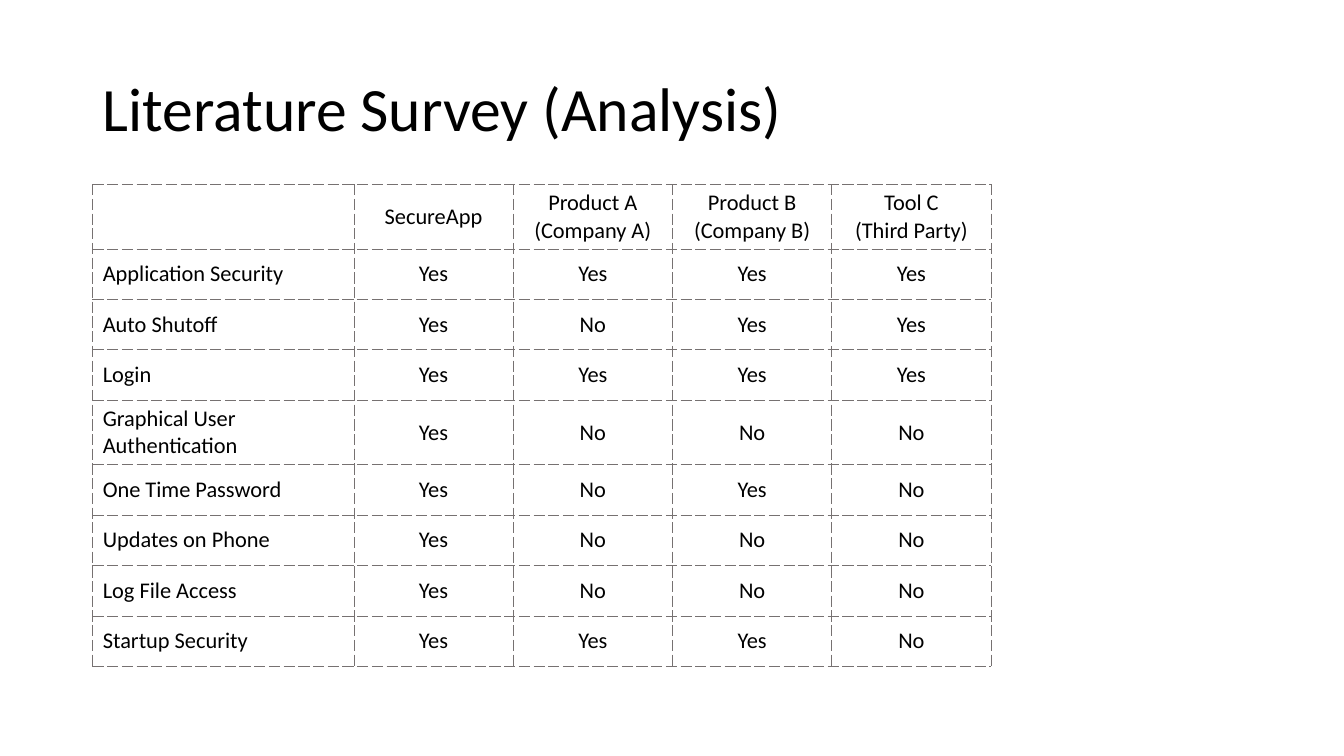
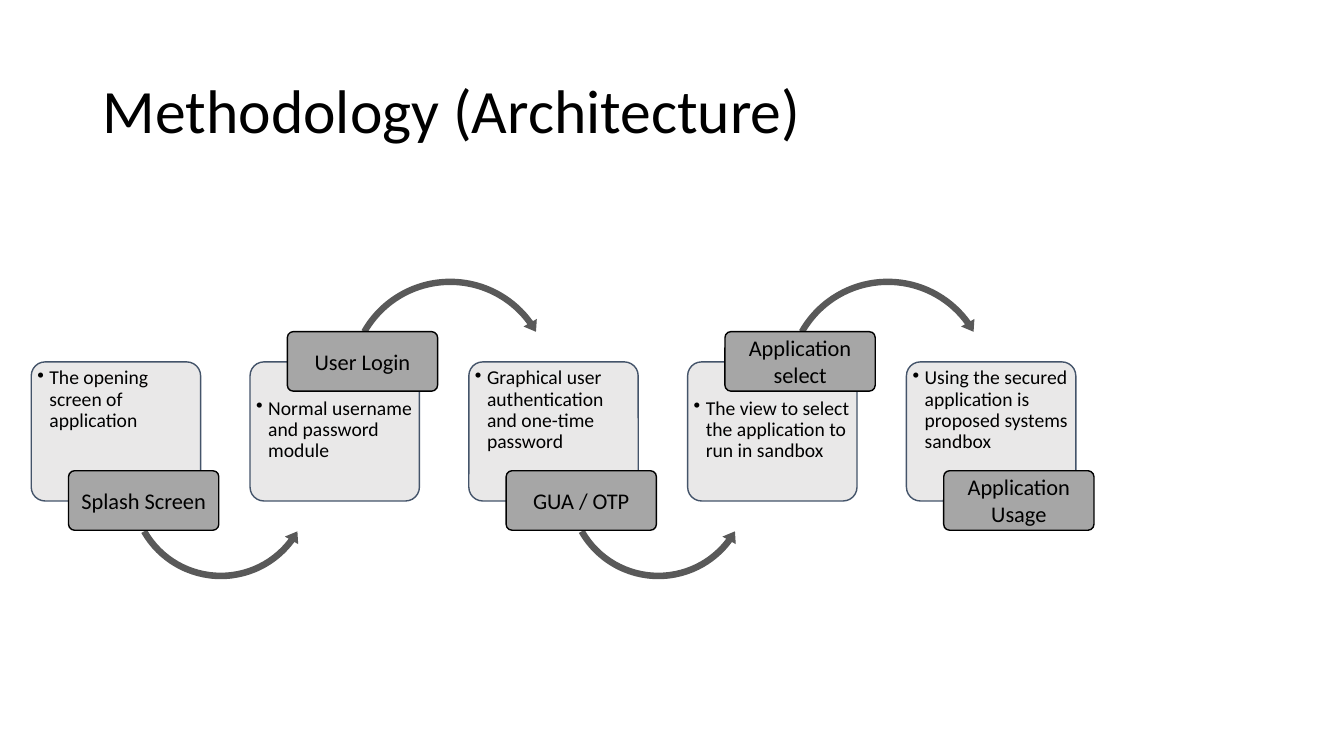
from pptx import Presentation
from pptx.dml.color import RGBColor
from pptx.enum.shapes import MSO_SHAPE
from pptx.enum.text import MSO_ANCHOR, PP_ALIGN
from pptx.oxml import parse_xml
from pptx.oxml.ns import nsdecls, qn
from pptx.util import Inches, Pt

ROUND = MSO_SHAPE.ROUNDED_RECTANGLE
OVER = MSO_SHAPE.CIRCULAR_ARROW
UNDER = MSO_SHAPE.LEFT_CIRCULAR_ARROW
MIDDLE, TOP = MSO_ANCHOR.MIDDLE, MSO_ANCHOR.TOP
LEFT, CENTER = PP_ALIGN.LEFT, PP_ALIGN.CENTER

# Shared look
FONT = "Calibri"
BLACK, GRID = "000000", "767171"
CARD, EDGE = "E7E6E6", "44546A"
CHIP, ARROW = "A6A6A6", "595959"

# Table content
HEAD = ["", "SecureApp", "Product A (Company A)", "Product B (Company B)",
        "Tool C\n(Third Party)"]
ROWS = [
    ("Application Security", "Yes Yes Yes Yes"),
    ("Auto Shutoff", "Yes No Yes Yes"),
    ("Login", "Yes Yes Yes Yes"),
    ("Graphical User Authentication", "Yes No No No"),
    ("One Time Password", "Yes No Yes No"),
    ("Updates on Phone", "Yes No No No"),
    ("Log File Access", "Yes No No No"),
    ("Startup Security", "Yes Yes Yes No"),
]
COLS = [2.59] + [1.58] * 4
TALL, SHORT = 0.64, 0.5
TALL_ROWS = (0, 4)

# Process content
STEPS = [
    ("Splash Screen", "The opening screen of application"),
    ("User Login", "Normal username and password module"),
    ("GUA / OTP", "Graphical user authentication and one-time password"),
    ("Application select",
     "The view to select the application to run in sandbox"),
    ("Application Usage",
     "Using the secured application is proposed systems sandbox"),
]
START, PITCH = 0.31, 2.17
OVER_ADJ = (0.03, 3.744, 194.501, 125.755, 0.036)
UNDER_ADJ = (0.034, 4.201, 21.956, 90.245, 0.04)


def color(code):
    return RGBColor.from_string(code)


def write(frame, text, size, align=LEFT, space=1.0):
    frame.text = text
    for para in frame.paragraphs:
        para.alignment = align
        para.line_spacing = space
        for run in para.runs:
            run.font.name = FONT
            run.font.size = Pt(size)
            run.font.color.rgb = color(BLACK)


def inset(frame, left, top, right, bottom):
    frame.margin_left, frame.margin_top = Inches(left), Inches(top)
    frame.margin_right, frame.margin_bottom = Inches(right), Inches(bottom)


def add_title(slide, text, top):
    box = slide.shapes.add_textbox(
        Inches(0.92), Inches(top), Inches(11.5), Inches(1.45))
    frame = box.text_frame
    frame.word_wrap = True
    frame.vertical_anchor = MIDDLE
    write(frame, text, 44, space=0.9)


def add_block(slide, kind, at, adjust, fill, line=None):
    shape = slide.shapes.add_shape(kind, *[Inches(v) for v in at])
    shape.shadow.inherit = False
    for i, value in enumerate(adjust):
        shape.adjustments[i] = value
    shape.fill.solid()
    shape.fill.fore_color.rgb = color(fill)
    if line:
        shape.line.color.rgb = color(line)
        shape.line.width = Pt(1)
    else:
        shape.line.fill.background()
    shape.text_frame.word_wrap = True
    return shape


def add_bullet(para):
    props = para._p.get_or_add_pPr()
    props.set("marL", str(Inches(0.12)))
    props.set("indent", str(Inches(-0.12)))
    props.append(parse_xml(f'<a:buChar {nsdecls("a")} char="•"/>'))


def add_card(slide, left, text, raised):
    card = add_block(slide, ROUND, (left, 3.59, 1.68, 1.38), [0.1], CARD, EDGE)
    tint = card.fill._xPr.find(qn("a:solidFill"))[0]
    tint.append(parse_xml(f'<a:alpha {nsdecls("a")} val="90000"/>'))
    frame = card.text_frame
    frame.vertical_anchor = TOP
    inset(frame, 0.02, 0.32 if raised else 0.02, 0.02, 0.02)
    write(frame, text, 14, space=0.9)
    add_bullet(frame.paragraphs[0])


def add_chip(slide, left, text, raised):
    top = 3.29 if raised else 4.67
    chip = add_block(slide, ROUND, (left, top, 1.49, 0.59), [0.1], CHIP, BLACK)
    chip.text_frame.vertical_anchor = MIDDLE
    inset(chip.text_frame, 0.03, 0.02, 0.03, 0.02)
    write(chip.text_frame, text, 16, CENTER)


def add_arrow(slide, left, raised):
    if raised:
        add_block(slide, OVER, (left, 2.72, 2.11, 2.11), OVER_ADJ, ARROW)
    else:
        add_block(slide, UNDER, (left, 3.89, 1.9, 1.9), UNDER_ADJ, ARROW)


def add_borders(cell):
    props = cell._tc.get_or_add_tcPr()
    for i, side in enumerate("LRTB"):
        props.insert(i, parse_xml(
            f'<a:ln{side} {nsdecls("a")} w="{Pt(0.5)}"><a:solidFill>'
            f'<a:srgbClr val="{GRID}"/></a:solidFill>'
            f'<a:prstDash val="sysDash"/></a:ln{side}>'))


def add_grid(slide):
    data = [HEAD] + [[name, *marks.split()] for name, marks in ROWS]
    sizes = [TALL if i in TALL_ROWS else SHORT for i in range(len(data))]
    table = slide.shapes.add_table(
        len(data), len(COLS), Inches(0.92), Inches(1.83),
        Inches(sum(COLS)), Inches(sum(sizes))).table
    table.first_row = table.horz_banding = False
    for col, width in zip(table.columns, COLS):
        col.width = Inches(width)
    for row, size, texts in zip(table.rows, sizes, data):
        row.height = Inches(size)
        for i, (cell, text) in enumerate(zip(row.cells, texts)):
            cell.fill.background()
            cell.vertical_anchor = MIDDLE
            write(cell.text_frame, text, 16, CENTER if i else LEFT)
            add_borders(cell)


def add_steps(slide):
    for i, (name, note) in enumerate(STEPS):
        left, raised = START + i * PITCH, i % 2 == 1
        add_card(slide, left, note, raised)
        if i < len(STEPS) - 1:
            add_arrow(slide, left + 0.93, raised)
        add_chip(slide, left + 0.37, name, raised)


def main():
    deck = Presentation()
    deck.slide_width, deck.slide_height = Inches(13.33), Inches(7.5)
    blank = deck.slide_layouts[6]

    # Survey table
    slide = deck.slides.add_slide(blank)
    add_title(slide, "Literature Survey (Analysis)", 0.38)
    add_grid(slide)

    # Process steps
    slide = deck.slides.add_slide(blank)
    add_title(slide, "Methodology (Architecture)", 0.4)
    add_steps(slide)

    deck.save("out.pptx")


if __name__ == "__main__":
    main()
